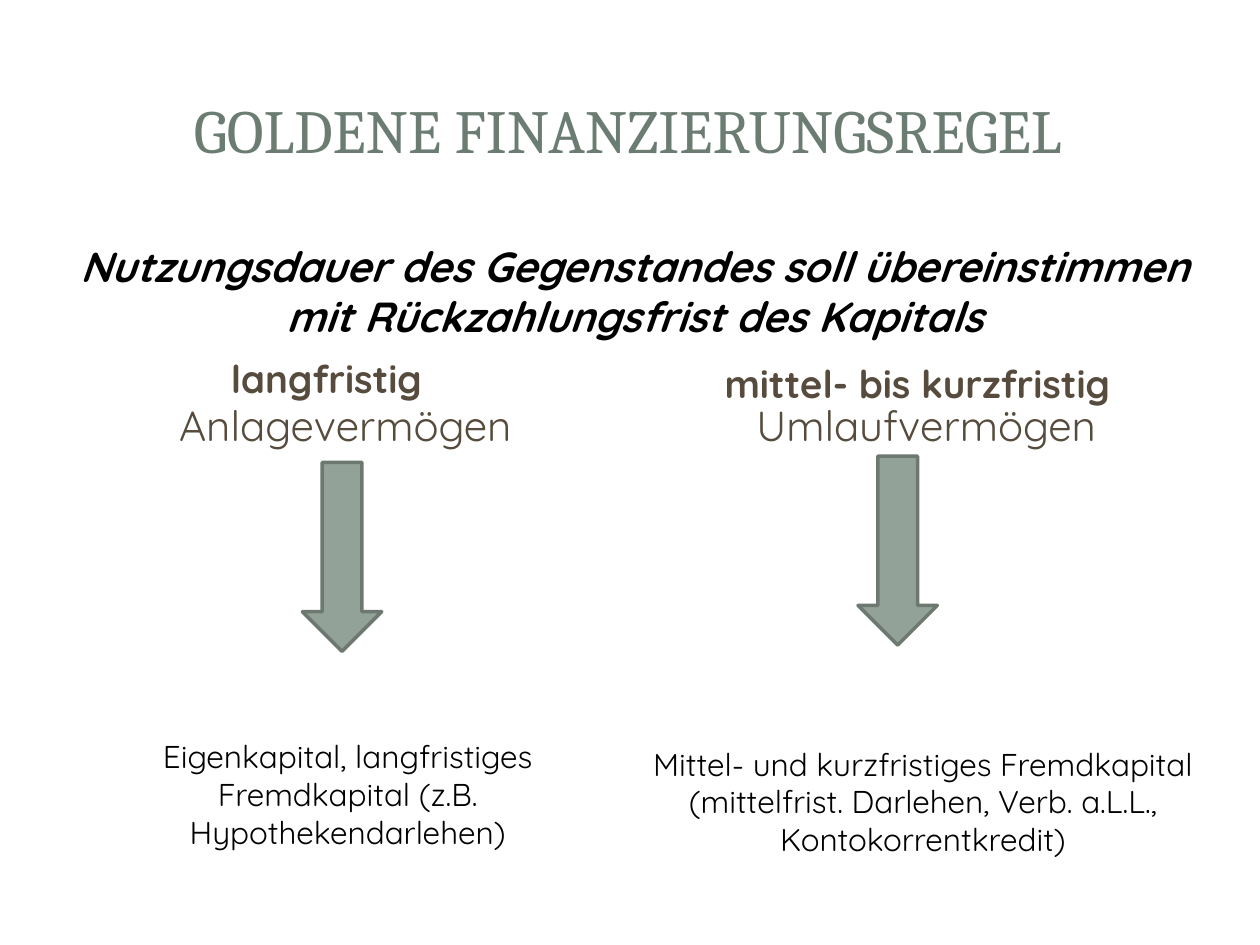
from pptx import Presentation, util as u
from pptx.dml.color import RGBColor
from pptx.enum import shapes, text
from pptx.oxml import ns
from lxml import etree

WHITE = RGBColor(0xFF, 0xFF, 0xFF)
SAGE = RGBColor(0x6B, 0x7D, 0x72)
BROWN = RGBColor(0x56, 0x4B, 0x3C)
BLACK = RGBColor(0, 0, 0)
FILL = RGBColor(0x93, 0xA2, 0x99)
EDGE = RGBColor(0x6D, 0x78, 0x71)
BODY = "Quicksand"
TOP = text.MSO_ANCHOR.TOP
MID = text.MSO_ANCHOR.MIDDLE
LOW = text.MSO_ANCHOR.BOTTOM
KIND = shapes.MSO_SHAPE


def write(shape, words, size, color, font=BODY, bold=False, slant=False,
          anchor=TOP, gap=0, indent=0):
    frame = shape.text_frame
    frame.word_wrap = True
    frame.auto_size = text.MSO_AUTO_SIZE.NONE
    frame.vertical_anchor = anchor
    para = frame.paragraphs[0]
    para.text = words
    para.alignment = text.PP_ALIGN.CENTER
    para.space_before = u.Pt(gap)
    if indent:
        para._p.get_or_add_pPr().set("marL", str(u.Inches(indent)))
    face = para.font
    face.name, face.size, face.color.rgb = font, u.Pt(size), color
    face.bold, face.italic = bold, slant


def place(slide, box, words, size, color, **style):
    label = slide.shapes.add_textbox(*map(u.Inches, box))
    write(label, words, size, color, **style)


def draw(slide, kind, box, fill, edge=None):
    shape = slide.shapes.add_shape(kind, *map(u.Inches, box))
    shape.shadow.inherit = False
    shape.fill.solid()
    shape.fill.fore_color.rgb = fill
    if edge is None:
        shape.line.fill.background()
    else:
        shape.line.color.rgb = edge
        shape.line.width = u.Pt(2)
    return shape


def panel(slide, box):
    x, y, w, h = box
    card = draw(slide, KIND.ROUNDED_RECTANGLE, box, WHITE)
    card.adjustments[0] = 0.017
    band = draw(slide, KIND.RECTANGLE, (x + 0.2, y + 0.19, w - 0.4, 1.45),
                WHITE)
    tone = band.fill._xPr.find(".//" + ns.qn("a:srgbClr"))
    etree.SubElement(tone, ns.qn("a:alpha")).set("val", "83000")
    draw(slide, KIND.RECTANGLE, (x + 0.31, y + 0.3, w - 0.63, 1.22), WHITE)


def head(slide, box, words):
    title = slide.shapes.title
    slide.shapes._spTree.append(title._element)
    title.left, title.top, title.width, title.height = map(u.Inches, box)
    write(title, words, 35, SAGE, font="Cambria", anchor=MID)


def column(slide, box, term, asset, funds, shift, point, foot):
    x, y, w, h = box
    place(slide, (x + shift[0], y + shift[1], w, 0.7), term, 22, BROWN,
          bold=True, anchor=LOW, gap=4.4)
    place(slide, (x, y, w, h), asset, 24, BROWN, gap=4.8, indent=0.12)
    draw(slide, KIND.DOWN_ARROW, (x + point[0], y + point[1], 0.63, 1.5),
         FILL, EDGE)
    place(slide, (x + foot[0], y + foot[1], foot[2], 1.01), funds, 18, BLACK)


deck = Presentation()
deck.slide_width, deck.slide_height = u.Inches(10), u.Inches(7.5)
slide = deck.slides.add_slide(deck.slide_layouts[5])
panel(slide, (0.1, 0.11, 9.8, 7.29))
head(slide, (0.47, 0.45, 9.03, 1.14), "GOLDENE FINANZIERUNGSREGEL")
place(slide, (0.35, 1.86, 9.37, 0.91),
      "Nutzungsdauer des Gegenstandes soll übereinstimmen "
      "mit Rückzahlungsfrist des Kapitals",
      24, BLACK, bold=True, slant=True)
column(slide, (0.47, 3.12, 4.42, 3.58), "langfristig", "Anlagevermögen",
       "Eigenkapital, langfristiges Fremdkapital (z.B. Hypothekendarlehen)",
       (-0.09, -0.59), (1.93, 0.55), (0.44, 2.68, 3.7))
column(slide, (5.08, 3.12, 4.42, 3.58), "mittel- bis kurzfristig",
       "Umlaufvermögen",
       "Mittel- und kurzfristiges Fremdkapital "
       "(mittelfrist. Darlehen, Verb. a.L.L., Kontokorrentkredit)",
       (-0.01, -0.55), (1.73, 0.5), (-0.1, 2.74, 4.69))
deck.save("out.pptx")
